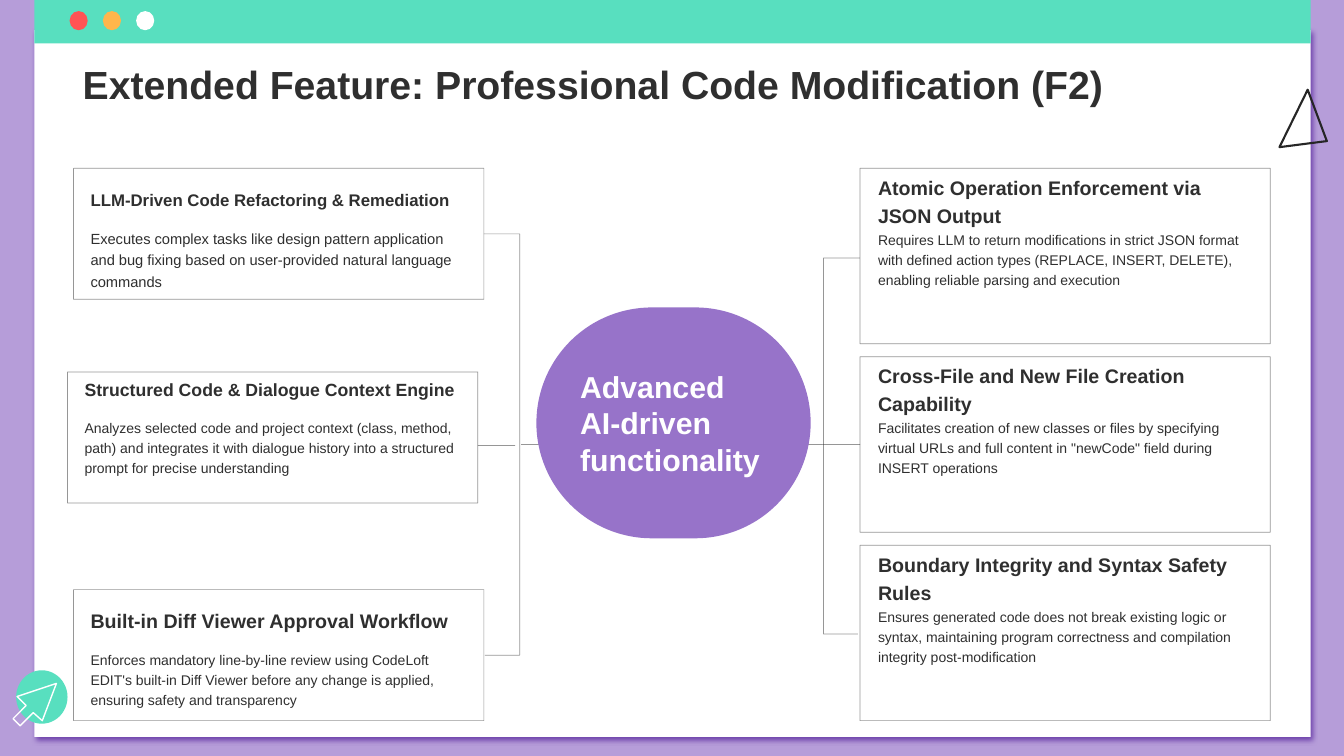
from dataclasses import dataclass

from pptx import Presentation
from pptx.dml.color import RGBColor
from pptx.enum.shapes import MSO_CONNECTOR, MSO_SHAPE
from pptx.enum.text import MSO_ANCHOR, MSO_AUTO_SIZE, PP_ALIGN
from pptx.oxml import parse_xml
from pptx.oxml.ns import nsdecls
from pptx.util import Pt
from lxml.etree import SubElement
from pptx.oxml.ns import qn

PX = 9144  # EMU in one px, 100 px to the inch


@dataclass(frozen=True)
class Theme:
    font: str = "Arial"
    ink: str = "2F2F2F"
    outline: str = "262626"
    white: str = "FFFFFF"
    mint: str = "58DFBF"
    red: str = "FF5454"
    amber: str = "FFB64B"
    purple: str = "9773C9"
    backdrop: str = "B69DD9"
    shade: str = "6E42AB"
    title: float = 28
    hub: float = 21.6
    heading: float = 14
    body: float = 10


theme = Theme()


def write(frame, text, size=theme.body, color=theme.ink, bold=False,
          anchor=MSO_ANCHOR.TOP, spacing=1.0):
    frame.word_wrap = True
    frame.auto_size = MSO_AUTO_SIZE.NONE
    frame.vertical_anchor = anchor
    paragraph = frame.paragraphs[0]
    paragraph.alignment = PP_ALIGN.LEFT
    paragraph.line_spacing = spacing
    paragraph.space_before = Pt(0)
    run = paragraph.add_run()
    run.text = text
    run.font.name = theme.font
    run.font.size = Pt(size)
    run.font.bold = bold
    run.font.color.rgb = RGBColor.from_string(color)


def hairline(shape):
    """Give a card or connector a thin half-transparent line and no shadow."""
    shape.line.width = Pt(0.5)
    shape.line.color.rgb = RGBColor.from_string(theme.ink)
    line_color = shape.element.spPr.find(".//" + qn("a:ln")).find(".//" + qn("a:srgbClr"))
    SubElement(line_color, qn("a:alpha")).set("val", "50000")
    SubElement(shape.element.spPr, qn("a:effectLst"))


deck = Presentation()
deck.slide_width, deck.slide_height = 1333 * PX, 750 * PX
slide = deck.slides.add_slide(deck.slide_layouts[5])
shapes = slide.shapes
slide.background.fill.solid()
slide.background.fill.fore_color.rgb = RGBColor.from_string(theme.backdrop)

# Browser window: panel with shadow, top bar, three buttons and the cursor's disc
window_parts = [
    (MSO_SHAPE.RECTANGLE, 34, 30, 1266, 701, theme.white),
    (MSO_SHAPE.RECTANGLE, 34, 0, 1266, 43, theme.mint),
    (MSO_SHAPE.OVAL, 16, 665, 51, 53, theme.mint),
]
for i, button_color in enumerate([theme.red, theme.amber, theme.white]):
    window_parts.append((MSO_SHAPE.OVAL, 69 + 33 * i, 11, 18, 19, button_color))
for kind, x, y, width, height, color in window_parts:
    part = shapes.add_shape(kind, x * PX, y * PX, width * PX, height * PX)
    part.fill.solid()
    part.fill.fore_color.rgb = RGBColor.from_string(color)
    part.line.fill.background()
    part.shadow.inherit = False
    if height == 701:
        part.element.spPr.find(qn("a:effectLst")).append(parse_xml(
            f'<a:outerShdw {nsdecls("a")} blurRad="{Pt(4)}" dist="{Pt(3)}" dir="2700000" '
            f'algn="bl" rotWithShape="0"><a:srgbClr val="{theme.shade}"/></a:outerShdw>'))

# Outlined cursor and triangle
outlines = [
    ([(20, 720), (13, 713), (26, 700), (17, 691), (56, 678), (42, 715), (33, 707)],
     theme.white, 1),
    ([(1269, 146), (1297, 89), (1316, 140)], theme.outline, 1.5),
]
for points, color, weight in outlines:
    builder = shapes.build_freeform(*points[0], scale=PX)
    builder.add_line_segments(points[1:], close=True)
    outline = builder.convert_to_shape()
    outline.fill.background()
    outline.line.color.rgb = RGBColor.from_string(color)
    outline.line.width = Pt(weight)
    outline.shadow.inherit = False

# Feature cards: x, y, height, text inset, heading offset, body offset,
# heading size, body size, heading, body
features = [
    (73, 167, 130, 7, 6, 53, 12, 10.5, "LLM-Driven Code Refactoring & Remediation",
     "Executes complex tasks like design pattern application and bug fixing based on "
     "user-provided natural language commands"),
    (67, 369, 130, 7, -8, 39, 12.6, theme.body, "Structured Code & Dialogue Context Engine",
     "Analyzes selected code and project context (class, method, path) and integrates it "
     "with dialogue history into a structured prompt for precise understanding"),
    (73, 585, 130, 7, 5, 53, theme.heading, theme.body, "Built-in Diff Viewer Approval Workflow",
     "Enforces mandatory line-by-line review using CodeLoft EDIT's built-in Diff Viewer "
     "before any change is applied, ensuring safety and transparency"),
]
right_features = [
    ("Atomic Operation Enforcement via JSON Output",
     "Requires LLM to return modifications in strict JSON format with defined action types "
     "(REPLACE, INSERT, DELETE), enabling reliable parsing and execution"),
    ("Cross-File and New File Creation Capability",
     "Facilitates creation of new classes or files by specifying virtual URLs and full "
     'content in "newCode" field during INSERT operations'),
    ("Boundary Integrity and Syntax Safety Rules",
     "Ensures generated code does not break existing logic or syntax, maintaining program "
     "correctness and compilation integrity post-modification"),
]
for i, (heading, body) in enumerate(right_features):
    features.append((853, 167 + 187 * i, 174, 8, 7, 54, theme.heading, theme.body, heading, body))

cards = []
for (x, y, height, inset, heading_dy, body_dy,
     heading_size, body_size, heading, body) in features:
    card = shapes.add_shape(MSO_SHAPE.RECTANGLE, x * PX, y * PX, 407 * PX, height * PX)
    card.fill.background()
    hairline(card)
    cards.append(card)
    heading_box = shapes.add_textbox(
        (x + inset) * PX, (y + heading_dy) * PX, 392 * PX, 47 * PX)
    write(heading_box.text_frame, heading, size=heading_size, bold=True,
          anchor=MSO_ANCHOR.MIDDLE, spacing=1.2)
    body_box = shapes.add_textbox(
        (x + inset) * PX, (y + body_dy) * PX, 392 * PX, (height - 60) * PX)
    write(body_box.text_frame, body, size=body_size, spacing=1.2)

# Links to the hub: start, end, card joined at its left side, and for a bracket its reach
links = [
    ((816, 441), (517, 441), None, None),
    ((474, 442), (511, 442), None, None),
    ((853, 441), (816, 441), cards[4], None),
    ((853, 256), (851, 629), None, 36),
    ((480, 232), (481, 650), None, 36),
]
for (x1, y1), (x2, y2), joined_card, reach in links:
    kind = MSO_CONNECTOR.ELBOW if reach else MSO_CONNECTOR.STRAIGHT
    link = shapes.add_connector(kind, x1 * PX, y1 * PX, x2 * PX, y2 * PX)
    hairline(link)
    if joined_card:
        link.begin_connect(joined_card, 1)
    if reach:
        adjustments = link.element.spPr.find(qn("a:prstGeom")).find(qn("a:avLst"))
        bend = SubElement(adjustments, qn("a:gd"))
        bend.set("name", "adj1")
        bend.set("fmla", f"val {reach * 100000 // abs(x2 - x1)}")

hub = shapes.add_shape(MSO_SHAPE.ROUNDED_RECTANGLE, 532 * PX, 305 * PX, 272 * PX, 229 * PX)
hub.adjustments[0] = 0.5
hub.fill.solid()
hub.fill.fore_color.rgb = RGBColor.from_string(theme.purple)
hub.line.fill.background()
hub.shadow.inherit = False
write(hub.text_frame, "Advanced AI-driven functionality", size=theme.hub,
      color=theme.white, bold=True, anchor=MSO_ANCHOR.MIDDLE)

title = shapes.title
title.left, title.top, title.width, title.height = 72 * PX, 14 * PX, 1188 * PX, 98 * PX
write(title.text_frame, "Extended Feature: Professional Code Modification (F2)",
      size=theme.title, bold=True, anchor=MSO_ANCHOR.BOTTOM)
title.element.getparent().append(title.element)  # bring in front of the window

deck.save("out.pptx")
